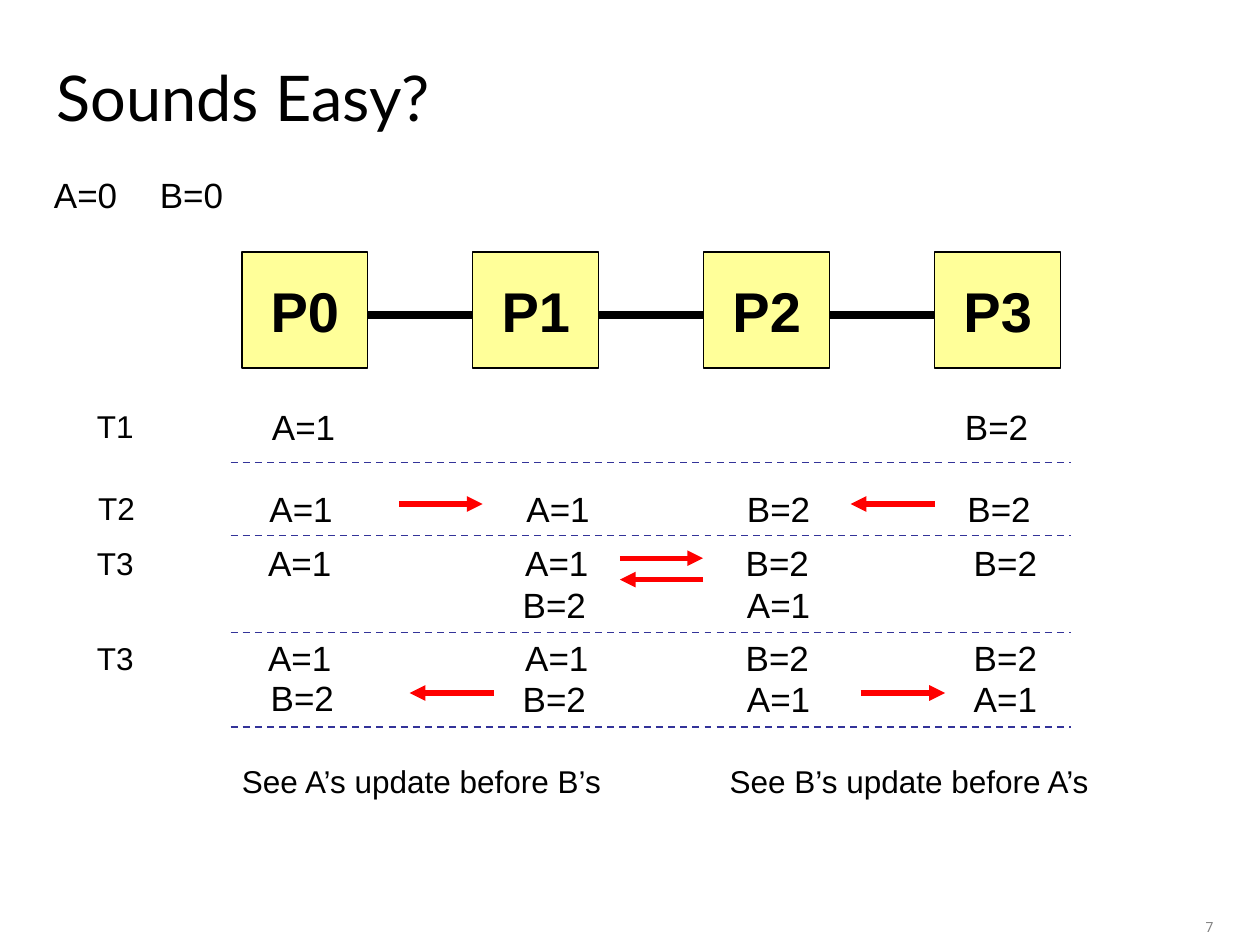
from pptx import Presentation
from pptx.dml.color import RGBColor
from pptx.enum.dml import MSO_LINE
from pptx.enum.shapes import MSO_CONNECTOR, MSO_SHAPE
from pptx.enum.text import MSO_ANCHOR, MSO_AUTO_SIZE, PP_ALIGN
from pptx.oxml.ns import qn
from pptx.util import Inches, Pt
from lxml.etree import SubElement

BLACK = RGBColor(0, 0, 0)
GRAY = RGBColor(0x80, 0x80, 0x80)
YELLOW = RGBColor(0xFF, 0xFF, 0x99)
NAVY = RGBColor(0x33, 0x33, 0x99)
RED = RGBColor(0xFF, 0, 0)

BOX_LEFT, BOX_TOP, BOX_STEP = 1.92, 2, 1.833
BOX_W, BOX_H = 1, 0.92
LINK_Y = 2.5

# Time labels: text, left, top
TIMES = [("T1", 0.67, 3.18), ("T2", 0.68, 3.83),
         ("T3", 0.67, 4.27), ("T3", 0.67, 5.02)]

# Values seen by the processors: top, then (text, left) pairs
VALUES = [
    (1.33, [("A=0", 0.33), ("B=0", 1.17)]),
    (3.17, [("A=1", 2.06), ("B=2", 7.56)]),
    (3.82, [("A=1", 2.04), ("A=1", 4.08), ("B=2", 5.83), ("B=2", 7.58)]),
    (4.25, [("A=1", 2.03), ("A=1", 4.07), ("B=2", 5.82), ("B=2", 7.63)]),
    (4.58, [("B=2", 4.05), ("A=1", 5.83)]),
    (5, [("A=1", 2.03), ("A=1", 4.07), ("B=2", 5.82), ("B=2", 7.63)]),
    (5.32, [("B=2", 2.05)]),
    (5.33, [("B=2", 4.05), ("A=1", 5.83), ("A=1", 7.63)]),
]

# Messages between processors: start x, end x, y
ARROWS = [(3.17, 3.83, 4), (7.42, 6.75, 4), (4.92, 5.58, 4.43),
          (5.58, 4.92, 4.6), (6.83, 7.5, 5.5), (3.92, 3.25, 5.5)]
RULES = [3.67, 4.25, 5.02, 5.77]
NOTES = [("See A’s update before B’s", 1.8),
         ("See B’s update before A’s", 5.67)]


def style(frame, text, size, font="Arial", color=BLACK,
          align=PP_ALIGN.CENTER, bold=False):
    frame.text = text
    para = frame.paragraphs[0]
    para.alignment = align
    para.font.name = font
    para.font.size = Pt(size)
    para.font.bold = bold
    para.font.color.rgb = color


def add_label(slide, text, left, top, width, height, size):
    box = slide.shapes.add_textbox(Inches(left), Inches(top),
                                   Inches(width), Inches(height))
    frame = box.text_frame
    frame.word_wrap = False
    frame.auto_size = MSO_AUTO_SIZE.SHAPE_TO_FIT_TEXT
    style(frame, text, size)


def add_line(slide, start, end, y, color, width):
    """Draw a level line and return it."""
    line = slide.shapes.add_connector(MSO_CONNECTOR.STRAIGHT, Inches(start),
                                      Inches(y), Inches(end), Inches(y))
    line.line.color.rgb = color
    line.line.width = Pt(width)
    SubElement(line._element.spPr, qn("a:effectLst"))
    return line


def add_arrow(slide, start, end, y):
    arrow = add_line(slide, start, end, y, RED, 3)
    SubElement(arrow.line._get_or_add_ln(), qn("a:tailEnd"), type="triangle")


def add_rule(slide, y):
    add_line(slide, 1.83, 8.5, y, NAVY, 1).line.dash_style = MSO_LINE.DASH


def add_node(slide, text, left):
    """Add the box of one processor."""
    node = slide.shapes.add_shape(MSO_SHAPE.RECTANGLE, Inches(left),
                                  Inches(BOX_TOP), Inches(BOX_W), Inches(BOX_H))
    node.shadow.inherit = False
    node.fill.solid()
    node.fill.fore_color.rgb = YELLOW
    node.line.color.rgb = BLACK
    node.line.width = Pt(0.75)
    frame = node.text_frame
    frame.word_wrap = False
    frame.vertical_anchor = MSO_ANCHOR.MIDDLE
    style(frame, text, 32, bold=True)


def add_chain(slide):
    """Add the processors and the links between them."""
    for i in range(4):
        left = BOX_LEFT + i * BOX_STEP
        add_node(slide, f"P{i}", left)
        if i < 3:
            add_line(slide, left + BOX_W, left + BOX_STEP, LINK_Y, BLACK, 4.5)


def set_title(slide, text):
    title = slide.shapes.title
    title.left, title.top = Inches(0.35), Inches(0.35)
    title.width, title.height = Inches(9), Inches(0.83)
    title.text_frame.vertical_anchor = MSO_ANCHOR.MIDDLE
    style(title.text_frame, text, 36, "Lato", align=PP_ALIGN.LEFT)


def add_number(slide, text):
    box = slide.shapes.add_textbox(Inches(9.07), Inches(7.24),
                                   Inches(0.66), Inches(0.17))
    box.text_frame.word_wrap = True
    style(box.text_frame, text, 8, "Roboto", GRAY, PP_ALIGN.RIGHT)


def main():
    deck = Presentation()
    deck.slide_width, deck.slide_height = Inches(10), Inches(7.5)
    slide = deck.slides.add_slide(deck.slide_layouts[5])
    set_title(slide, "Sounds Easy?")
    add_number(slide, "7")
    add_chain(slide)
    for y in RULES:
        add_rule(slide, y)
    for text, left, top in TIMES:
        add_label(slide, text, left, top, 0.49, 0.4, 18)
    for top, row in VALUES:
        for text, left in row:
            add_label(slide, text, left, top, 0.7, 0.44, 20)
    for start, end, y in ARROWS:
        add_arrow(slide, start, end, y)
    for text, left in NOTES:
        add_label(slide, text, left, 6, 3.09, 0.4, 18)
    deck.save("out.pptx")


if __name__ == "__main__":
    main()
